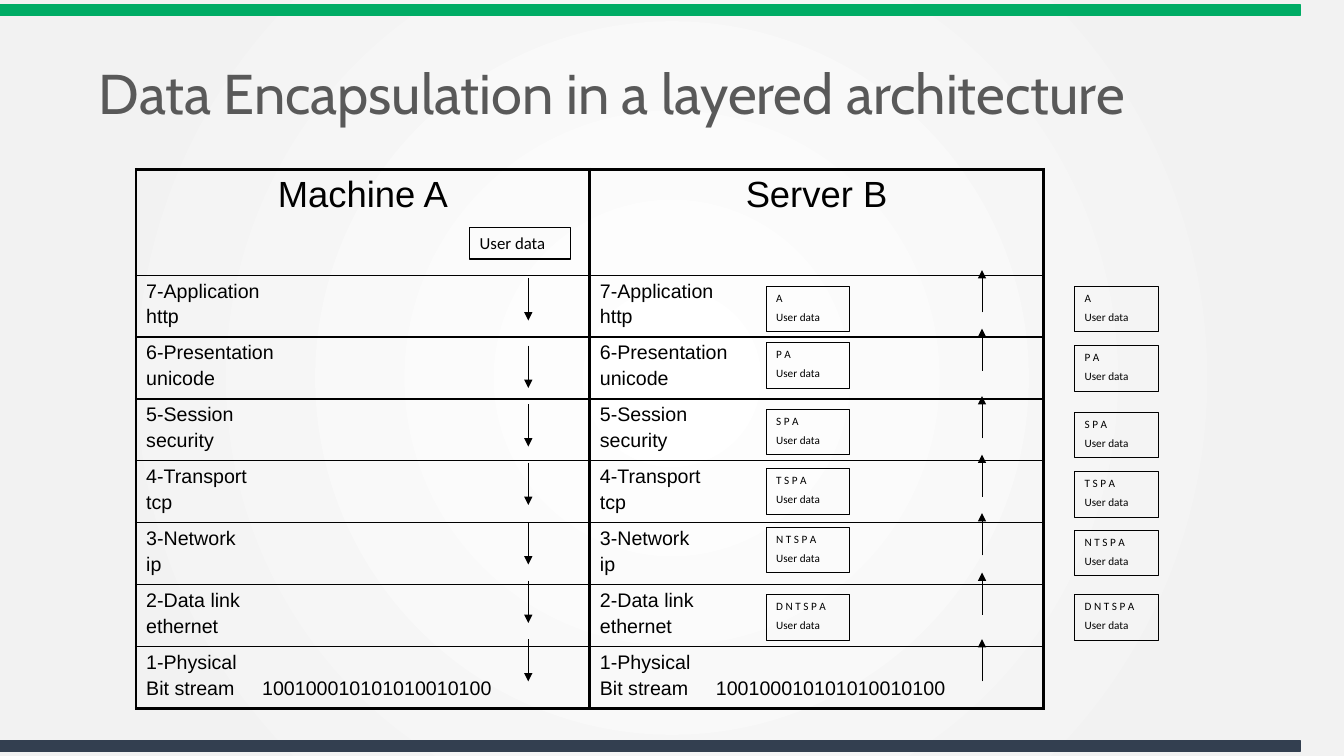
from lxml import etree
from pptx import Presentation
from pptx.dml.color import RGBColor
from pptx.enum.shapes import MSO_CONNECTOR, MSO_SHAPE
from pptx.enum.text import MSO_ANCHOR, PP_ALIGN
from pptx.oxml import parse_xml
from pptx.oxml.ns import nsdecls, qn
from pptx.util import Inches, Pt

BLACK = RGBColor(0x00, 0x00, 0x00)
GREEN = RGBColor(0x00, 0xAC, 0x65)
NAVY = RGBColor(0x33, 0x3F, 0x50)
GREY = RGBColor(0x59, 0x59, 0x59)
WHITE = RGBColor(0xFF, 0xFF, 0xFF)
PALE = RGBColor(0xF2, 0xF2, 0xF2)

HEADINGS = ["Machine A", "Server B"]
LAYERS = [
    ("7-Application", "http"),
    ("6-Presentation", "unicode"),
    ("5-Session", "security"),
    ("4-Transport", "tcp"),
    ("3-Network", "ip"),
    ("2-Data link", "ethernet"),
    ("1-Physical", "Bit stream\t100100010101010010100"),
]
HEADERS = ["A", "P A", "S P A", "T S P A", "N T S P A", "D N T S P A"]
SERVER_PACKETS = [2.84, 3.4, 4.06, 4.65, 5.23, 5.9]
OUTER_PACKETS = [2.84, 3.43, 4.09, 4.68, 5.26, 5.9]
DOWN_ARROWS = [2.76, 3.43, 4.01, 4.59, 5.18, 5.76, 6.34]
UP_ARROWS = [2.68, 3.26, 3.93, 4.51, 5.09, 5.68, 6.34]
ARROW_LENGTH = 0.42


def set_background(slide):
    """Give the slide a circular gradient from white to pale grey."""
    slide.background.fill.solid()
    bg_pr = slide.background.fill._xPr
    bg_pr.remove(bg_pr.find(qn("a:solidFill")))
    stops = "".join(
        f'<a:gs pos="{pos}"><a:srgbClr val="{color}"/></a:gs>'
        for pos, color in [(0, WHITE), (81000, PALE), (100000, PALE)]
    )
    bg_pr.insert(0, parse_xml(
        f'<a:gradFill {nsdecls("a")} rotWithShape="1"><a:gsLst>{stops}</a:gsLst>'
        '<a:path path="circle"><a:fillToRect l="50000" t="50000" r="50000" b="50000"/>'
        '</a:path></a:gradFill>'
    ))


def write(tf, lines, font="Arial", size=14, color=BLACK, align=PP_ALIGN.LEFT, before=0.2):
    """Write one paragraph per line, spaced by a share of the text size."""
    for i, line in enumerate(lines):
        p = tf.paragraphs[0] if i == 0 else tf.add_paragraph()
        p.alignment = align
        p.space_before = Pt(round(size * before, 1))
        r = p.add_run()
        r.text = line
        r.font.name = font
        r.font.size = Pt(size)
        r.font.color.rgb = color
        if "\t" in line:
            tabs = etree.SubElement(p._p.get_or_add_pPr(), qn("a:tabLst"))
            etree.SubElement(tabs, qn("a:tab"), pos=str(Inches(1.15)), algn="l")


def add_title(slide, text):
    """Place and format the title placeholder."""
    sp = slide.shapes.title
    sp.left, sp.top, sp.width, sp.height = Inches(0.88), Inches(0.56), Inches(11.7), Inches(0.8)
    tf = sp.text_frame
    tf.word_wrap = True
    tf.vertical_anchor = MSO_ANCHOR.MIDDLE
    write(tf, [text], font="Cabin", size=40, color=GREY, before=0)
    tf.paragraphs[0].line_spacing = 0.9


def add_rect(slide, left, top, width, height, line=BLACK, weight=0.75, fill=None):
    """Add a rectangle with an outline and an optional fill."""
    sp = slide.shapes.add_shape(
        MSO_SHAPE.RECTANGLE, Inches(left), Inches(top), Inches(width), Inches(height))
    sp.shadow.inherit = False
    sp.line.color.rgb = line
    sp.line.width = Pt(weight)
    if fill is None:
        sp.fill.background()
    else:
        sp.fill.solid()
        sp.fill.fore_color.rgb = fill
    return sp


def add_packet(slide, left, top, lines, width=0.83, height=0.45, size=8):
    """Add a box that holds user data and its layer headers."""
    tf = add_rect(slide, left, top, width, height).text_frame
    tf.word_wrap = True
    tf.vertical_anchor = MSO_ANCHOR.TOP
    write(tf, lines, font="Calibri", size=size, before=0.5)


def add_arrow(slide, x, start, end):
    """Add a vertical arrow that points at end."""
    cxn = slide.shapes.add_connector(
        MSO_CONNECTOR.STRAIGHT, Inches(x), Inches(start), Inches(x), Inches(end))
    cxn.line.color.rgb = BLACK
    cxn.line.width = Pt(0.75)
    etree.SubElement(cxn.line._get_or_add_ln(), qn("a:tailEnd"), type="triangle")
    etree.SubElement(cxn._element.spPr, qn("a:effectLst"))


def set_borders(cell, **weights):
    """Draw the cell borders, in points, keyed by L, R, T and B."""
    tc_pr = cell._tc.get_or_add_tcPr()
    for i, (side, weight) in enumerate(weights.items()):
        tc_pr.insert(i, parse_xml(
            f'<a:ln{side} {nsdecls("a")} w="{Pt(weight)}"><a:solidFill>'
            f'<a:srgbClr val="{BLACK}"/></a:solidFill></a:ln{side}>'
        ))


def add_layer_table(slide):
    """Add the table of layers for both machines."""
    rows = [[[heading] for heading in HEADINGS]] + [[layer, layer] for layer in LAYERS]
    table = slide.shapes.add_table(
        len(rows), 2, Inches(1.35), Inches(1.68), Inches(9), Inches(5.35)).table
    table.first_row = table.horz_banding = False
    last = len(rows) - 1
    for i, row in enumerate(rows):
        table.rows[i].height = Inches(1.05 if i == 0 else 4.3 / last)
        for j, lines in enumerate(row):
            cell = table.cell(i, j)
            cell.fill.background()
            set_borders(cell, L=2.25, R=2.25,
                        T=2.25 if i == 0 else 1, B=2.25 if i == last else 1)
            if i == 0:
                write(cell.text_frame, lines, size=26, align=PP_ALIGN.CENTER)
            else:
                write(cell.text_frame, lines)


def main():
    """Build the slide and save it."""
    prs = Presentation()
    prs.slide_width, prs.slide_height = Inches(13.33), Inches(7.5)
    slide = prs.slides.add_slide(prs.slide_layouts[5])
    set_background(slide)
    for top, color in [(0.05, GREEN), (7.35, NAVY)]:
        add_rect(slide, 0, top, 12.9, 0.1, line=color, weight=1, fill=color)
    add_title(slide, "Data Encapsulation in a layered architecture")
    add_layer_table(slide)
    for top in DOWN_ARROWS:
        add_arrow(slide, 5.24, top, top + ARROW_LENGTH)
    for top in UP_ARROWS:
        add_arrow(slide, 9.74, top + ARROW_LENGTH, top)
    add_packet(slide, 4.66, 2.26, ["User data"], width=1, height=0.31, size=12)
    for left, tops in [(7.6, SERVER_PACKETS), (10.66, OUTER_PACKETS)]:
        for top, header in zip(tops, HEADERS):
            add_packet(slide, left, top, [header, "User data"])
    prs.save("out.pptx")


if __name__ == "__main__":
    main()
